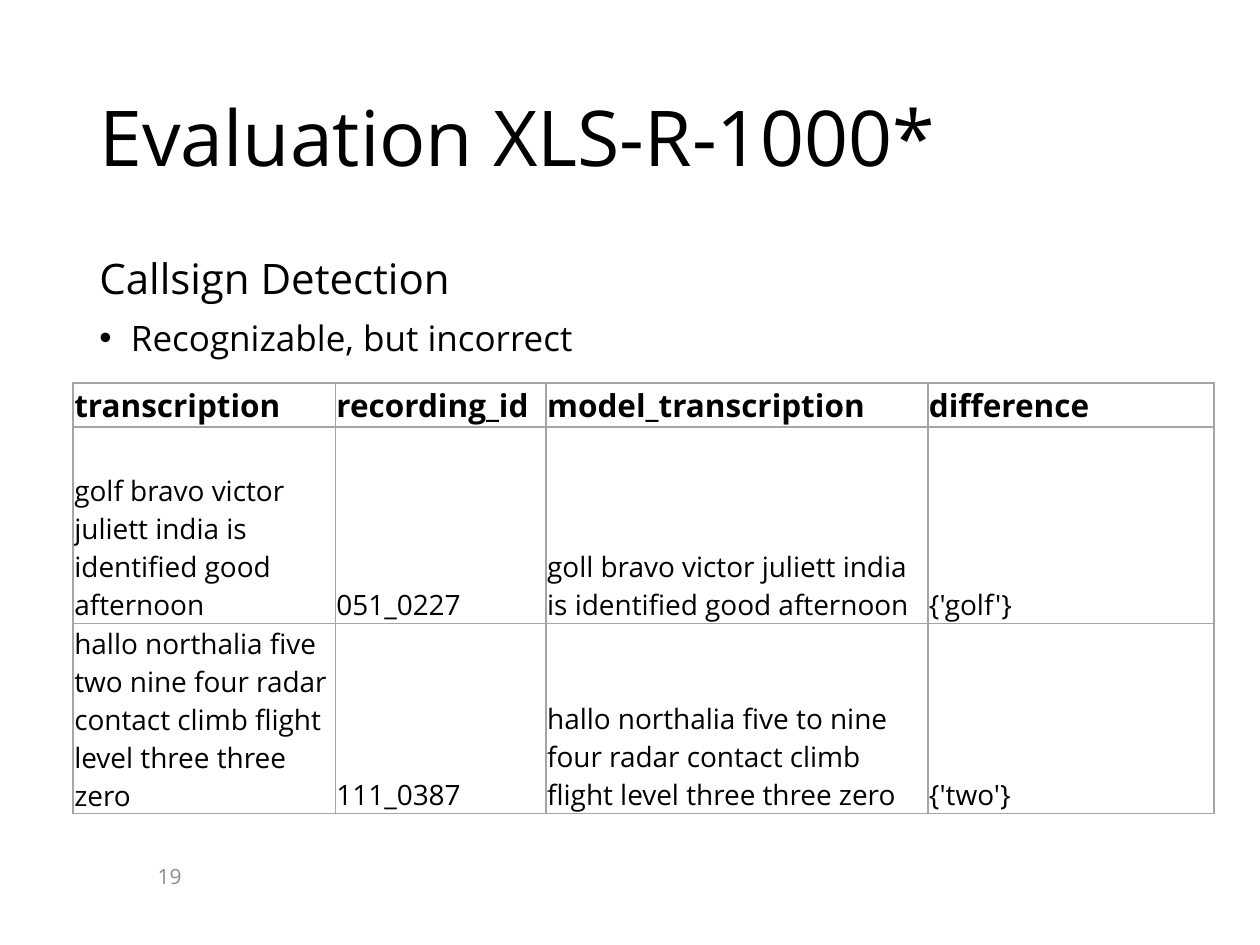
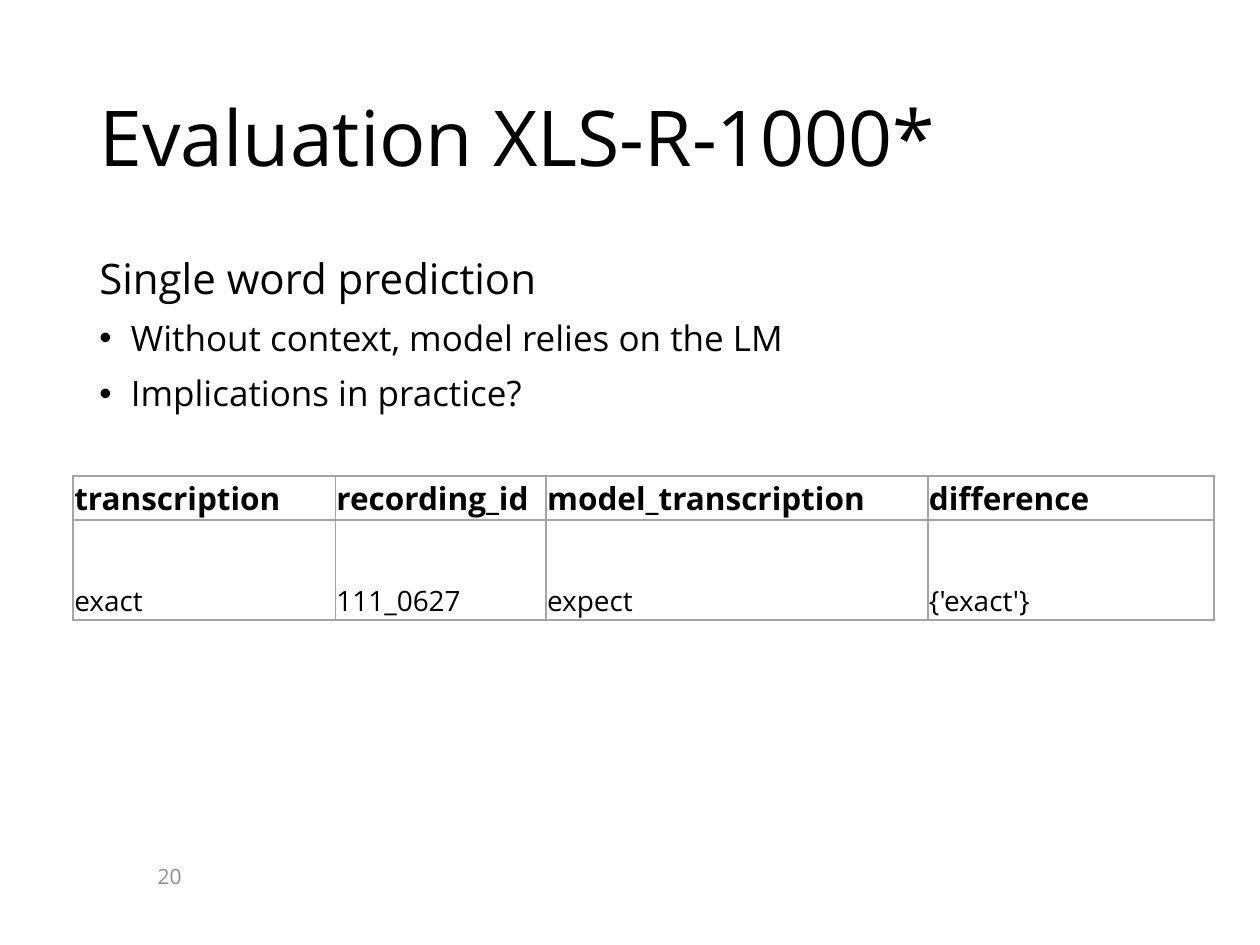
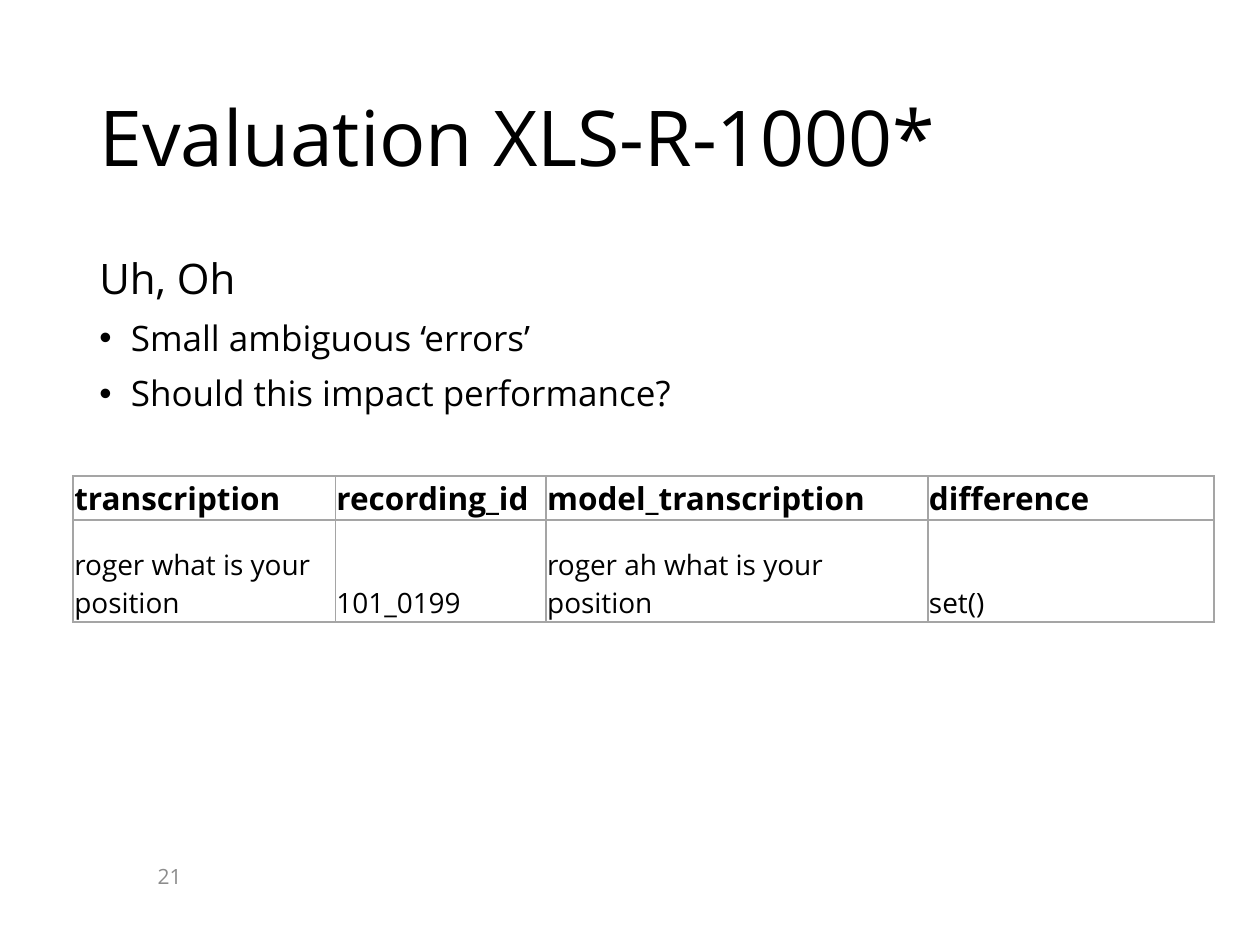
from pptx import Presentation
from pptx.dml.color import RGBColor
from pptx.enum import text
from pptx.oxml import parse_xml
from pptx.oxml.ns import nsdecls
from pptx.util import Pt

FONT = "Open Sans"
BLACK, GREY, RULE = "000000", "8C8C8C", "A5A5A5"
TITLE = "Evaluation XLS-R-1000*"
FIRST_NUMBER = 19
LEFT, WIDTH = 49.7, 620.6
TABLE_LEFT = 41.8
HEADER = ("transcription", "recording_id", "model_transcription", "difference")
COLUMN_WIDTHS = (149.8, 120.4, 218.2, 163.6)
HEADER_HEIGHT = 25

SLIDES = [
    {
        "heading": "Callsign Detection",
        "bullets": ["Recognizable, but incorrect"],
        "table_top": 218.9,
        "row_heights": (112.5, 108.5),
        "rows": [
            ("golf bravo victor juliett india is identified good afternoon",
             "051_0227",
             "goll bravo victor juliett india is identified good afternoon",
             "{'golf'}"),
            ("hallo northalia five two nine four radar contact climb flight level three three zero",
             "111_0387",
             "hallo northalia five to nine four radar contact climb flight level three three zero",
             "{'two'}"),
        ],
    },
    {
        "heading": "Single word prediction",
        "bullets": ["Without context, model relies on the LM", "Implications in practice?"],
        "table_top": 272.1,
        "row_heights": (57.3,),
        "rows": [("exact", "111_0627", "expect", "{'exact'}")],
    },
    {
        "heading": "Uh, Oh",
        "bullets": ["Small ambiguous ‘errors’", "Should this impact performance?"],
        "table_top": 272.1,
        "row_heights": (58.3,),
        "rows": [("roger what is your position", "101_0199",
                  "roger ah what is your position", "set()")],
    },
]


def color(value):
    return RGBColor.from_string(value)


def assign(target, values):
    for name, value in values.items():
        setattr(target, name, value)


def write(para, words, size, fill=BLACK, bold=False, **layout):
    assign(para, layout)
    span = para.add_run()
    span.text = words
    assign(span.font, {"name": FONT, "size": Pt(size), "bold": bold})
    span.font.color.rgb = color(fill)


def add_frame(page, left, top, width, height, anchor=text.MSO_ANCHOR.MIDDLE):
    frame = page.shapes.add_textbox(Pt(left), Pt(top), Pt(width), Pt(height)).text_frame
    assign(frame, {"word_wrap": True, "vertical_anchor": anchor})
    return frame


def add_bullet(para):
    properties = para._p.get_or_add_pPr()
    properties.set("marL", str(Pt(18)))
    properties.set("indent", str(-Pt(18)))
    properties.append(parse_xml(f'<a:buFont {nsdecls("a")} typeface="Arial"/>'))
    properties.append(parse_xml(f'<a:buChar {nsdecls("a")} char="•"/>'))


def add_body(page, heading, bullets):
    frame = add_frame(page, LEFT, 144, WIDTH, 29 + 40 * len(bullets), text.MSO_ANCHOR.TOP)
    spacing = {"line_spacing": 0.9, "space_before": Pt(10)}
    write(frame.paragraphs[0], heading, 24, **spacing)
    for words in bullets:
        para = frame.add_paragraph()
        write(para, words, 20, **spacing)
        add_bullet(para)


def add_borders(cell):
    properties = cell._tc.get_or_add_tcPr()
    for side in "LRTB":
        properties.append(parse_xml(
            f'<a:ln{side} {nsdecls("a")} w="{Pt(1)}"><a:solidFill>'
            f'<a:srgbClr val="{RULE}"/></a:solidFill></a:ln{side}>'))


def add_results(page, top, rows, row_heights):
    heights = (HEADER_HEIGHT, *row_heights)
    table = page.shapes.add_table(
        len(heights), len(HEADER), Pt(TABLE_LEFT), Pt(top),
        Pt(sum(COLUMN_WIDTHS)), Pt(sum(heights))).table
    assign(table, {"first_row": False, "horz_banding": False})
    for column, width in zip(table.columns, COLUMN_WIDTHS):
        column.width = Pt(width)
    for index, (row, height, words) in enumerate(zip(table.rows, heights, [HEADER, *rows])):
        row.height = Pt(height)
        for cell, entry in zip(row.cells, words):
            assign(cell, {"margin_left": Pt(0.7), "margin_right": Pt(0.7),
                          "margin_top": Pt(0.7), "margin_bottom": 0,
                          "vertical_anchor": text.MSO_ANCHOR.BOTTOM})
            write(cell.text_frame.paragraphs[0], entry,
                  16 if index else 18, bold=index == 0)
            add_borders(cell)
            cell.fill.background()


def add_page(deck, number, content):
    page = deck.slides.add_slide(deck.slide_layouts[6])
    title = add_frame(page, LEFT, 28.8, WIDTH, 104.4)
    write(title.paragraphs[0], TITLE, 44, line_spacing=0.9)
    add_body(page, content["heading"], content["bullets"])
    footer = add_frame(page, LEFT, 486, 61.2, 28.8)
    write(footer.paragraphs[0], str(number), 12, GREY, alignment=text.PP_ALIGN.RIGHT)
    add_results(page, content["table_top"], content["rows"], content["row_heights"])


def main():
    deck = Presentation()
    assign(deck, {"slide_width": Pt(720), "slide_height": Pt(540)})
    for number, content in enumerate(SLIDES, FIRST_NUMBER):
        add_page(deck, number, content)
    deck.save("out.pptx")


if __name__ == "__main__":
    main()
